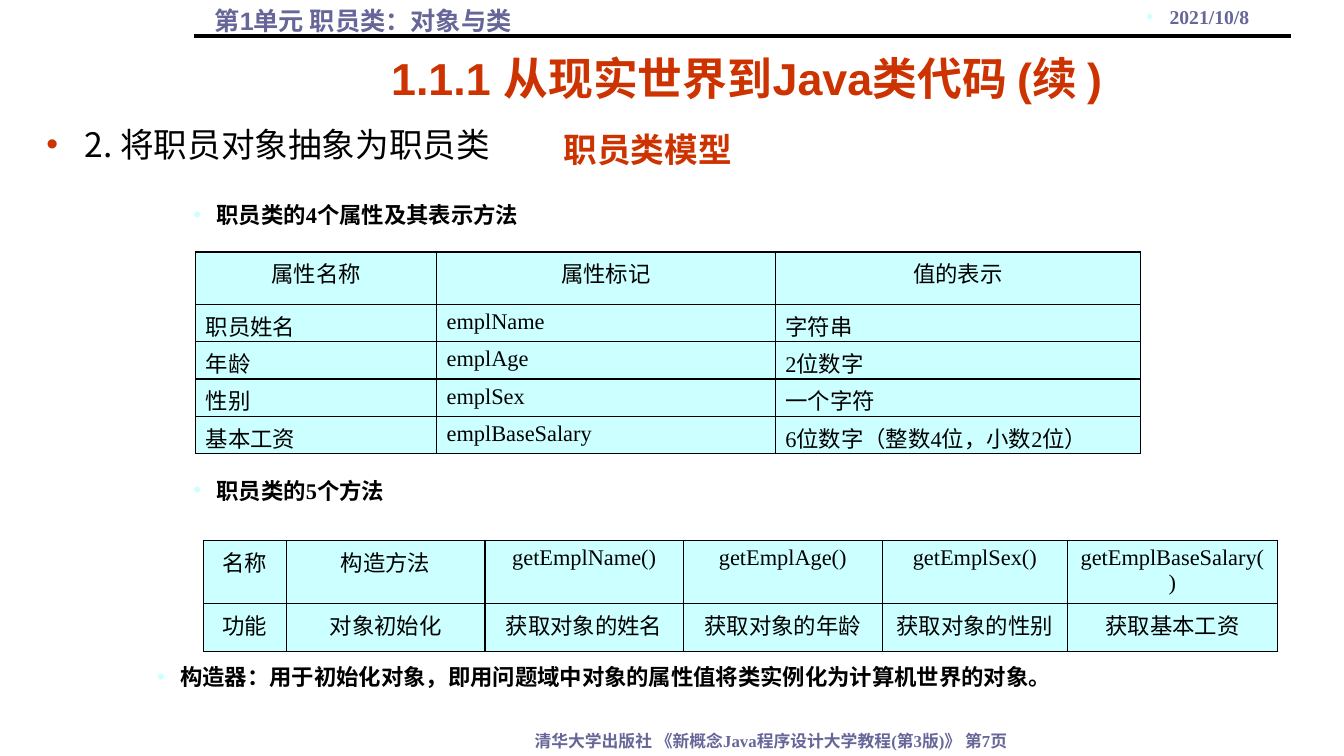
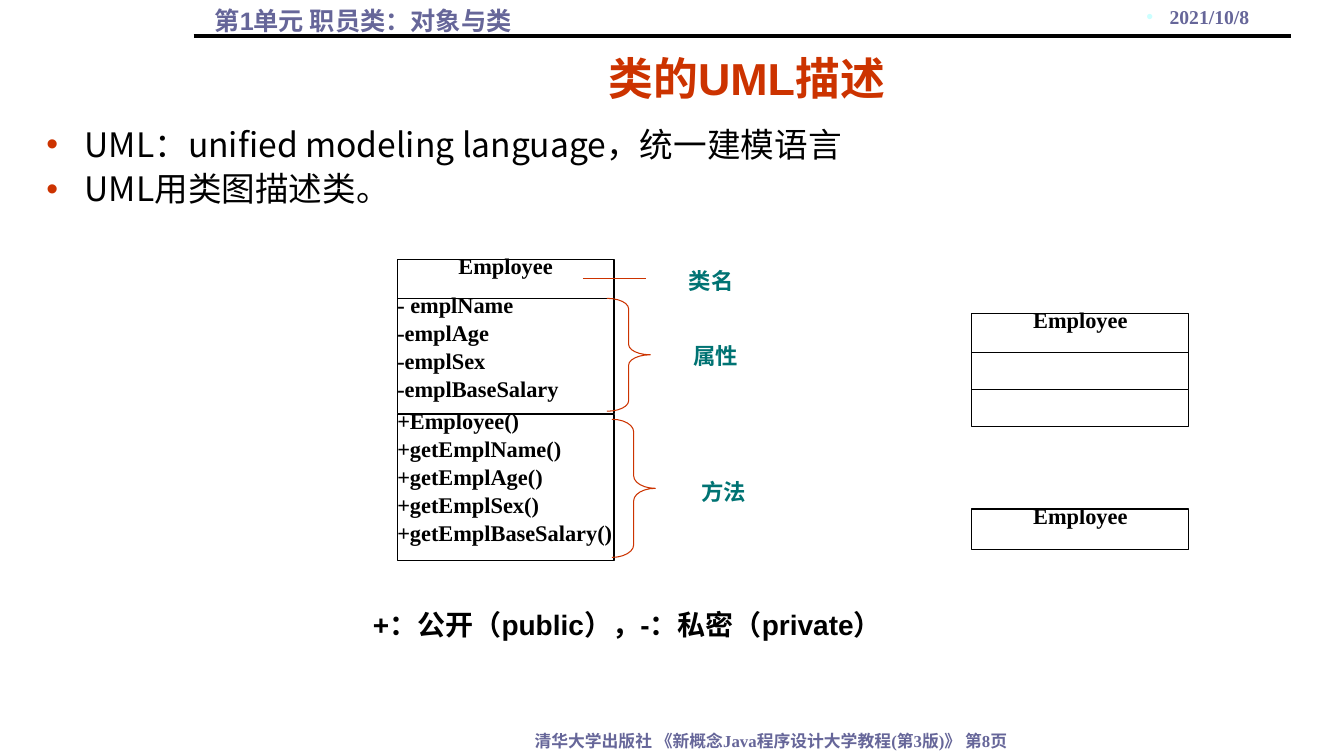
import pptx
import pptx.util
import pptx.dml.color
import pptx.enum.shapes
import pptx.enum.text
import pptx.oxml
import pptx.oxml.ns
from lxml import etree
from pptx.util import Inches

# Shared look
RED, BLACK, WHITE = "CC3300", "000000", "FFFFFF"
SLATE, CYAN, TEAL = "666699", "CCFFFF", "007373"
SANS, SERIF, CHINESE = "Arial", "Times New Roman", "Noto Sans CJK SC"
ALIGN = pptx.enum.text.PP_ALIGN
ANCHOR = pptx.enum.text.MSO_ANCHOR
SHAPE = pptx.enum.shapes.MSO_SHAPE
DATE = "2021/10/8"
UNIT = "第1单元 职员类：对象与类"
FOOTER = "清华大学出版社 《新概念Java程序设计大学教程(第3版)》 第{}页"


def rgb(value):
    return pptx.dml.color.RGBColor.from_string(value)


def box(left, top, width, height):
    return [Inches(length) for length in (left, top, width, height)]


def add_child(parent, tag, **attributes):
    child = etree.SubElement(parent, pptx.oxml.ns.qn("a:" + tag))
    for name, value in attributes.items():
        child.set(name, str(value))
    return child


# Text
def set_bullet(paragraph, color, indent):
    properties = paragraph._p.get_or_add_pPr()
    properties.set("marL", str(Inches(indent)))
    properties.set("indent", str(-Inches(indent)))
    add_child(add_child(properties, "buClr"), "srgbClr", val=color)
    add_child(properties, "buFont", typeface=SANS)
    add_child(properties, "buChar", char="•")


def format_runs(paragraph, size, font, color, bold):
    for run in paragraph.runs:
        run.font.size = pptx.util.Pt(size)
        run.font.bold = bold
        run.font.name = font
        run.font.color.rgb = rgb(color)
        add_child(run._r.get_or_add_rPr(), "ea", typeface=CHINESE)


def fill_text(frame, lines, size, font=SERIF, color=BLACK, bold=True,
              align=ALIGN.LEFT, anchor=ANCHOR.TOP, bullet=None, indent=0.23,
              line_spacing=None, gap=0, inset=None):
    frame.word_wrap = True
    frame.auto_size = pptx.enum.text.MSO_AUTO_SIZE.NONE
    frame.vertical_anchor = anchor
    if inset is not None:
        frame.margin_left = frame.margin_right = Inches(inset)
        frame.margin_top = frame.margin_bottom = Inches(inset)
    frame.text = "\n".join(lines)
    for index, paragraph in enumerate(frame.paragraphs):
        paragraph.alignment = align
        paragraph.space_before = pptx.util.Pt(gap if index else 0)
        if line_spacing:
            paragraph.line_spacing = line_spacing
        if bullet:
            set_bullet(paragraph, bullet, indent)
        format_runs(paragraph, size, font, color, bold)


def add_text(slide, place, text, size, **style):
    shape = slide.shapes.add_textbox(*box(*place))
    fill_text(shape.text_frame, [text], size, **style)
    return shape


def add_note(slide, place, text, **style):
    add_text(slide, place, text, 16, anchor=ANCHOR.MIDDLE, bullet=CYAN,
             line_spacing=0.83, **style)


# Lines and shapes
def add_line(slide, start, end, color, width):
    line = slide.shapes.add_connector(
        pptx.enum.shapes.MSO_CONNECTOR.STRAIGHT,
        *[Inches(length) for length in (*start, *end)])
    line.line.color.rgb = rgb(color)
    line.line.width = pptx.util.Pt(width)
    add_child(line._element.spPr, "effectLst")


def add_outline(slide, kind, place, color):
    shape = slide.shapes.add_shape(kind, *box(*place))
    shape.shadow.inherit = False
    shape.line.color.rgb = rgb(color)
    shape.line.width = pptx.util.Pt(0.75)
    return shape


def add_class_part(slide, left, top, height, lines=(), align=ALIGN.JUSTIFY):
    part = add_outline(slide, SHAPE.RECTANGLE, (left, top, 2.15, height), BLACK)
    part.fill.solid()
    part.fill.fore_color.rgb = rgb(WHITE)
    if lines:
        fill_text(part.text_frame, lines, 16, align=align,
                  line_spacing=0.72, gap=6.2, inset=0)


def add_brace(slide, place, curve):
    brace = add_outline(slide, SHAPE.RIGHT_BRACE, place, RED)
    brace.fill.background()
    brace.adjustments[0] = curve
    brace.adjustments[1] = 0.5


# Tables
def format_cell(cell, text, align):
    properties = cell._tc.get_or_add_tcPr()
    for side in ("lnL", "lnR", "lnT", "lnB"):
        border = add_child(properties, side, w=pptx.util.Pt(1))
        add_child(add_child(border, "solidFill"), "srgbClr", val=BLACK)
    cell.fill.solid()
    cell.fill.fore_color.rgb = rgb(CYAN)
    cell.margin_bottom = 0
    cell.text = text
    paragraph = cell.text_frame.paragraphs[0]
    paragraph.alignment = align
    format_runs(paragraph, 16, SERIF, BLACK, False)


def add_grid(slide, left, top, widths, heights, rows, body_align):
    place = box(left, top, sum(widths), sum(heights))
    table = slide.shapes.add_table(len(rows), len(widths), *place).table
    table.first_row = table.horz_banding = False
    for column, width in zip(table.columns, widths):
        column.width = Inches(width)
    for row, height in zip(table.rows, heights):
        row.height = Inches(height)
    for row_index, texts in enumerate(rows):
        for column_index, text in enumerate(texts):
            format_cell(table.cell(row_index, column_index), text,
                        body_align if row_index else ALIGN.CENTER)


# Slide frame: header, rule, title, body list, date and footer
def start_slide(presentation, page, title, points, body_height):
    slide = presentation.slides.add_slide(presentation.slide_layouts[1])
    add_text(slide, (4.19, 7.2, 6.91, 0.3), FOOTER.format(page), 12,
             color=SLATE, align=ALIGN.CENTER)
    add_text(slide, (2.03, 0, 4.73, 0.4), UNIT, 18, font=SANS, color=SLATE)
    add_line(slide, (1.92, 0.36), (12.8, 0.36), BLACK, 3)
    date = add_text(slide, (10.53, 0, 2.8, 0.31), DATE, 14, color=SLATE,
                    align=ALIGN.CENTER, bullet=CYAN)
    date.text_frame.margin_left = 0

    heading, body = slide.shapes.title, slide.placeholders[1]
    heading.left, heading.top, heading.width, heading.height = box(
        1.82, 0.42, 11.17, 0.67)
    fill_text(heading.text_frame, [title], 32, font=SANS, color=RED,
              align=ALIGN.CENTER, anchor=ANCHOR.BOTTOM)
    body.left, body.top, body.width, body.height = box(
        0.36, 1.22, 12.43, body_height)
    fill_text(body.text_frame, points, 24, font=CHINESE, bold=False,
              bullet=RED, indent=0.38, line_spacing=0.9, gap=5.8)
    return slide


def build_model_slide(presentation):
    slide = start_slide(presentation, 7, "1.1.1 从现实世界到Java类代码 (续 )",
                        ["2. 将职员对象抽象为职员类"], 1.87)
    add_text(slide, (5.26, 1.19, 2.33, 0.54), "职员类模型", 24, font=CHINESE,
             color=RED, align=ALIGN.CENTER, anchor=ANCHOR.BOTTOM)

    # Attributes
    add_note(slide, (1.82, 1.97, 3.44, 0.37), "职员类的4个属性及其表示方法")
    add_grid(slide, 1.94, 2.5, [2.39, 3.36, 3.62], [0.52] + [0.37] * 4, [
        ["属性名称", "属性标记", "值的表示"],
        ["职员姓名", "emplName", "字符串"],
        ["年龄", "emplAge", "2位数字"],
        ["性别", "emplSex", "一个字符"],
        ["基本工资", "emplBaseSalary", "6位数字（整数4位，小数2位）"],
    ], ALIGN.JUSTIFY)

    # Methods
    add_note(slide, (1.82, 4.7, 3.87, 0.37), "职员类的5个方法")
    add_grid(slide, 2.02, 5.36, [0.82, 1.97, 1.97, 1.97, 1.84, 2.08],
             [0.63, 0.47], [
        ["名称", "构造方法", "getEmplName()", "getEmplAge()",
         "getEmplSex()", "getEmplBaseSalary()"],
        ["功能", "对象初始化", "获取对象的姓名", "获取对象的年龄",
         "获取对象的性别", "获取基本工资"],
    ], ALIGN.CENTER)
    add_note(slide, (1.46, 6.55, 9.16, 0.37),
             "构造器：用于初始化对象，即用问题域中对象的属性值将类实例化为计算机世界的对象。",
             font=SANS)


def build_uml_slide(presentation):
    slide = start_slide(presentation, 8, "类的UML描述", [
        "UML：unified modeling language，统一建模语言",
        "UML用类图描述类。"], 1.12)

    # Full class diagram
    class_left, short_left = 3.94, 9.64
    add_class_part(slide, class_left, 2.57, 0.4, ["Employee"], ALIGN.CENTER)
    add_class_part(slide, class_left, 2.96, 1.14, [
        "- emplName", "-emplAge", "-emplSex", "-emplBaseSalary"])
    add_class_part(slide, class_left, 4.11, 1.45, [
        "+Employee()", "+getEmplName()", "+getEmplAge()", "+getEmplSex()",
        "+getEmplBaseSalary()"])

    # Callouts
    add_line(slide, (5.78, 2.76), (6.41, 2.76), RED, 0.75)
    add_brace(slide, (6.02, 2.96, 0.43, 1.12), 0.24)
    add_brace(slide, (6.07, 4.16, 0.43, 1.37), 0.29)
    for left, top, label in ((6.46, 2.72, "类名"), (6.5, 3.46, "属性"),
                             (6.58, 4.81, "方法")):
        add_text(slide, (left, top, 1.19, 0.35), label, 16, color=TEAL,
                 align=ALIGN.CENTER, line_spacing=0.72, inset=0)

    # Short forms of the diagram
    for top in (3.11, 5.05):
        add_class_part(slide, short_left, top, 0.4, ["Employee"], ALIGN.CENTER)
    for top in (3.5, 3.86):
        add_class_part(slide, short_left, top, 0.37)

    add_text(slide, (3.6, 5.98, 9, 0.61),
             "+：公开（public），-：私密（private）", 20, font=SANS)


def main():
    presentation = pptx.Presentation()
    presentation.slide_width = Inches(13.33)
    presentation.slide_height = Inches(7.5)
    build_model_slide(presentation)
    build_uml_slide(presentation)
    presentation.save("out.pptx")


if __name__ == "__main__":
    main()
